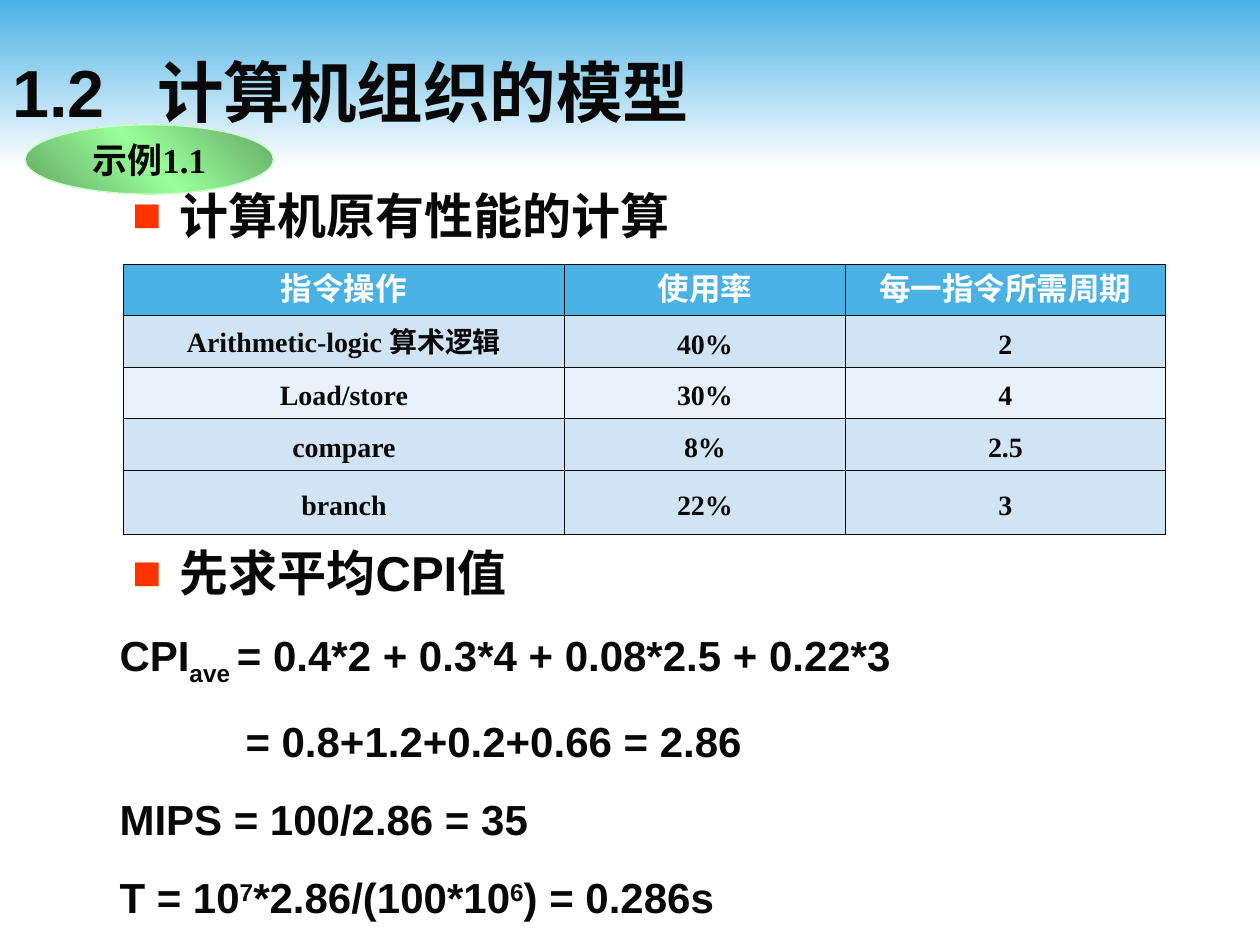
import pptx
import pptx.dml.color
import pptx.enum.shapes
import pptx.enum.text
import pptx.oxml
import pptx.oxml.ns
import pptx.util
from lxml import etree

Inches = pptx.util.Inches
Pt = pptx.util.Pt
RGBColor = pptx.dml.color.RGBColor
Shape = pptx.enum.shapes.MSO_SHAPE
Anchor = pptx.enum.text.MSO_ANCHOR
Align = pptx.enum.text.PP_ALIGN
qn = pptx.oxml.ns.qn

INK = RGBColor(0x08, 0x08, 0x08)
WHITE = RGBColor(0xFF, 0xFF, 0xFF)
BLUE = RGBColor(0x4A, 0xB1, 0xE4)
PALE = RGBColor(0xD0, 0xE4, 0xF5)
LIGHT = RGBColor(0xE9, 0xF2, 0xFA)
RED = RGBColor(0xFF, 0x33, 0x00)
GREEN = RGBColor(0x64, 0xA7, 0x64)
LIME = RGBColor(0x99, 0xFF, 0x99)
MINT = RGBColor(0xCC, 0xFF, 0xCC)

SANS = "Arial"
SERIF = "Times New Roman"


def add(parent, tag, **attrs):
    return etree.SubElement(parent, qn(tag), attrs)


def paint(parent, color):
    add(add(parent, "a:solidFill"), "a:srgbClr", val=str(color))


class Page:
    def __init__(self, slide):
        self.slide = slide
        self.ink = INK
        self.edge = 0.45

    def runs(self, para, parts, size, font, color=None):
        for part in parts:
            text, shift = part if isinstance(part, tuple) else (part, 0)
            run = para.add_run()
            run.text = text
            run.font.size = Pt(size)
            run.font.name = font
            run.font.bold = True
            run.font.color.rgb = color or self.ink
            if shift:
                run._r.get_or_add_rPr().set("baseline", str(shift * 1000))

    def shape(self, kind, box, stops, angle, line=None):
        shape = self.slide.shapes.add_shape(kind, *map(Inches, box))
        shape.shadow.inherit = False
        shape.fill.gradient()
        grad = shape._element.spPr.find(qn("a:gradFill"))
        for child in list(grad):
            grad.remove(child)
        group = add(grad, "a:gsLst")
        for place, color in stops:
            stop = add(group, "a:gs", pos=str(place * 1000))
            add(stop, "a:srgbClr", val=str(color))
        add(grad, "a:lin", ang=str(angle * 60000), scaled="0")
        if line:
            shape.line.color.rgb = line
            shape.line.width = Pt(0.75)
        else:
            shape.line.fill.background()
        return shape

    def label(self, shape, text, size, font):
        frame = shape.text_frame
        frame.word_wrap = False
        frame.vertical_anchor = Anchor.MIDDLE
        frame.paragraphs[0].alignment = Align.CENTER
        self.runs(frame.paragraphs[0], [text], size, font)

    def text(self, box, anchor=Anchor.TOP):
        frame = self.slide.shapes.add_textbox(*map(Inches, box)).text_frame
        frame.word_wrap = True
        frame.vertical_anchor = anchor
        return frame

    def line(self, para, parts, size, space=0, tab=None, bullet=False):
        props = para._p.get_or_add_pPr()
        if bullet:
            props.set("marL", str(Inches(0.48)))
            props.set("indent", str(Inches(-0.38)))
            add(add(props, "a:buClr"), "a:srgbClr", val=str(RED))
            add(props, "a:buFont", typeface=SANS)
            add(props, "a:buChar", char="■")
        if tab:
            stops = add(props, "a:tabLst")
            add(stops, "a:tab", pos=str(Inches(tab)), algn="l")
        if space:
            para.space_before = Pt(space)
        self.runs(para, parts, size, SANS)

    def table(self, box, wide, tall, rows):
        frame = self.slide.shapes.add_table(len(rows), len(wide), *map(Inches, box))
        table = frame.table
        for column, width in zip(table.columns, wide):
            column.width = Inches(width)
        for row, height in zip(table.rows, tall):
            row.height = Inches(height)
        for i, row in enumerate(rows):
            fill = BLUE if i == 0 else LIGHT if i == 2 else PALE
            for j, text in enumerate(row):
                self.cell(table.cell(i, j), text, fill, i == 0)

    def cell(self, cell, text, fill, head):
        cell.vertical_anchor = Anchor.MIDDLE
        props = cell._tc.get_or_add_tcPr()
        for side in "LRTB":
            width = str(Pt(self.edge))
            paint(add(props, f"a:ln{side}", w=width), self.ink)
        cell.fill.solid()
        cell.fill.fore_color.rgb = fill
        para = cell.text_frame.paragraphs[0]
        para.alignment = Align.CENTER
        para.line_spacing = Pt(22)
        self.runs(para, [text], 18 if head else 16, SERIF, WHITE if head else None)


def main():
    deck = pptx.Presentation()
    deck.slide_width = Inches(10)
    deck.slide_height = Inches(7.5)
    page = Page(deck.slides.add_slide(deck.slide_layouts[6]))

    page.shape(Shape.RECTANGLE, (0, 0, 10, 1.33), [(0, BLUE), (100, WHITE)], 90)
    title = page.text((0, 0.25, 9, 0.95), Anchor.MIDDLE)
    page.line(title.paragraphs[0], ["1.2\t计算机组织的模型"], 38, tab=1.15)

    goal = page.text((0.85, 1.42, 8.71, 0.65))
    page.line(goal.paragraphs[0], ["计算机原有性能的计算"], 28, bullet=True)

    work = page.text((0.85, 4.26, 8.71, 3.1))
    page.line(work.paragraphs[0], ["先求平均CPI值"], 28, bullet=True)
    sums = [
        ["CPI", ("ave ", -25), "= 0.4*2 + 0.3*4 + 0.08*2.5 + 0.22*3"],
        ["\t= 0.8+1.2+0.2+0.66 = 2.86"],
        ["MIPS = 100/2.86 = 35"],
        ["T = 10", ("7", 30), "*2.86/(100*10", ("6", 30), ") = 0.286s"],
    ]
    for parts in sums:
        page.line(work.add_paragraph(), parts, 24, space=16, tab=1)

    stops = [(0, GREEN), (50, LIME), (100, GREEN)]
    badge = page.shape(Shape.OVAL, (0.2, 0.99, 1.97, 0.55), stops, 135, MINT)
    page.label(badge, "示例1.1", 20, SERIF)

    rows = [
        ("指令操作", "使用率", "每一指令所需周期"),
        ("Arithmetic-logic 算术逻辑", "40%", "2"),
        ("Load/store", "30%", "4"),
        ("compare", "8%", "2.5"),
        ("branch", "22%", "3"),
    ]
    wide = (3.5, 2.23, 2.54)
    tall = (0.4, 0.4, 0.41, 0.41, 0.51)
    page.table((0.98, 2.1, sum(wide), sum(tall)), wide, tall, rows)

    deck.save("out.pptx")


if __name__ == "__main__":
    main()
